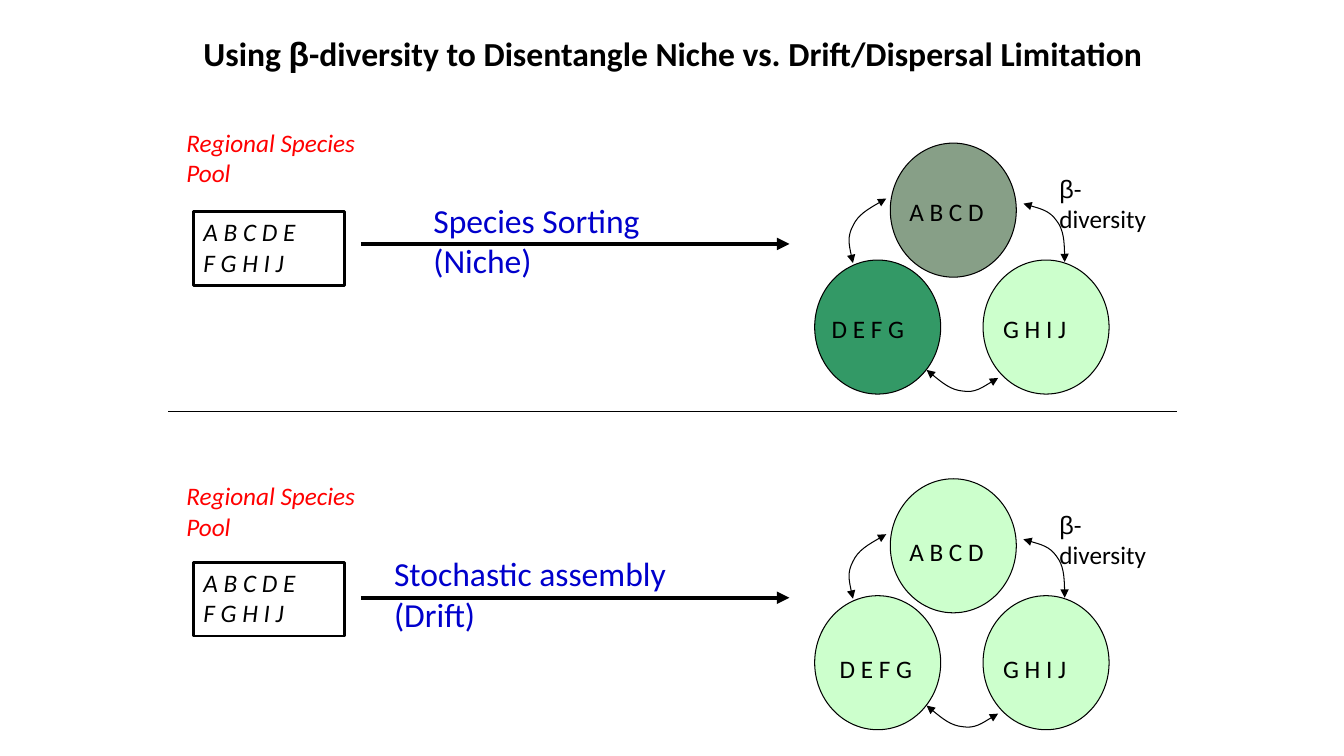
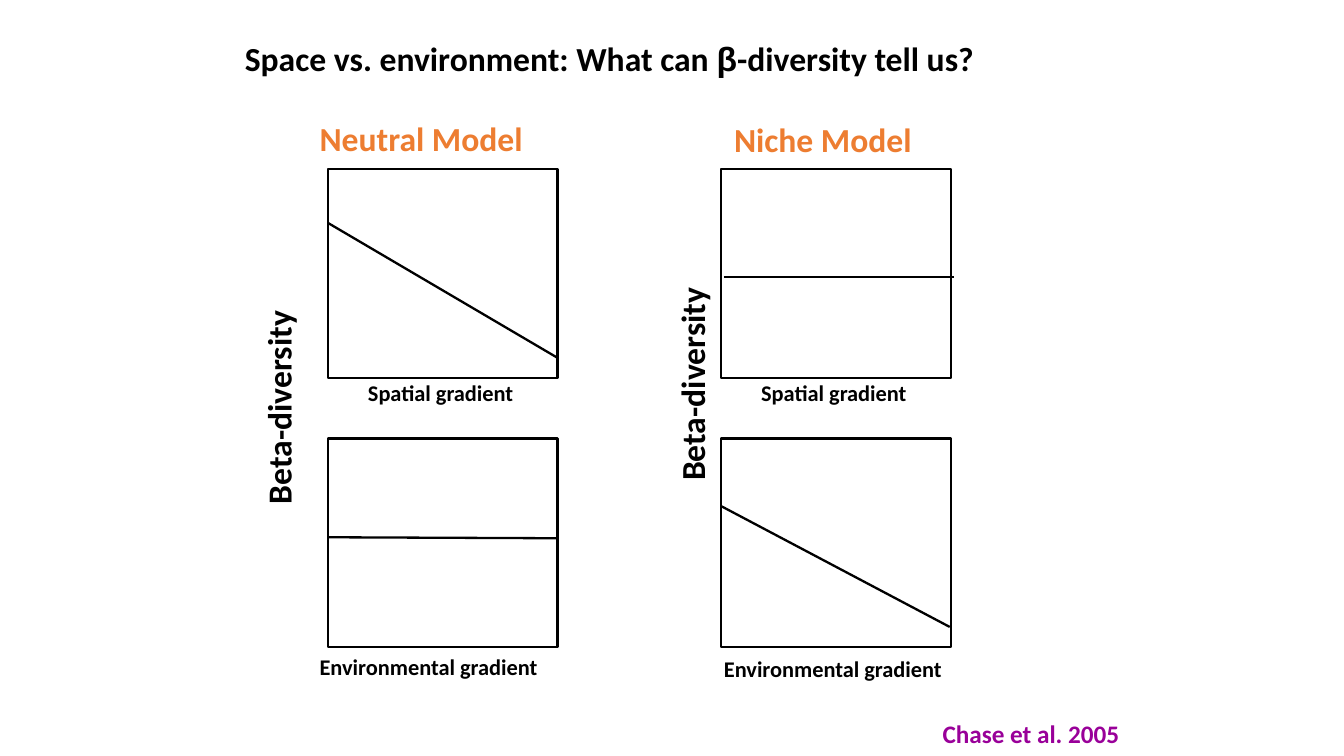
from dataclasses import dataclass

from lxml import etree
from pptx import Presentation
from pptx import util as u
from pptx.dml.color import RGBColor
from pptx.enum import shapes, text
from pptx.oxml.ns import qn


@dataclass(frozen=True)
class Theme:
    body_font: str = "Calibri"
    greek_font: str = "Arial"
    black: str = "000000"
    pool_red: str = "FF0000"
    process_blue: str = "0000CC"
    model_orange: str = "ED7D31"
    citation_purple: str = "990099"
    light_green: str = "CCFFCC"
    mid_green: str = "339966"
    dark_green: str = "003300"
    heading: int = 24
    body: int = 18
    axis: int = 16
    thin: float = 0.75
    frame: float = 1.63
    pool_frame: float = 2
    thick: float = 3


THEME = Theme()

# Three communities, relative to the cluster: left, top
CIRCLES = [(0.75, 0), (1.67, 1.16), (0, 1.16)]
# Curved arrows between communities: start, then control and end points
CURVES = [
    [(2.07, 0.6), (2.2, 0.64), (2.33, 0.67), (2.4, 0.77),
     (2.47, 0.86), (2.48, 1.02), (2.48, 1.18)],
    [(1.82, 2.33), (1.7, 2.4), (1.59, 2.48), (1.47, 2.46),
     (1.35, 2.45), (1.23, 2.35), (1.11, 2.25)],
    [(0.38, 1.19), (0.35, 1.06), (0.32, 0.93), (0.38, 0.82),
     (0.43, 0.71), (0.57, 0.63), (0.71, 0.55)],
]


# Shared drawing helpers
def rgb(color):
    return RGBColor.from_string(color)


def write(frame, lines, size, color=THEME.black, bold=False, italic=False):
    """Fill a text frame, setting each beta in the Greek font."""
    frame.word_wrap = False
    frame.vertical_anchor = text.MSO_ANCHOR.TOP
    for index, line in enumerate(lines):
        paragraph = frame.add_paragraph() if index else frame.paragraphs[0]
        paragraph.alignment = text.PP_ALIGN.LEFT
        for piece in filter(None, line.partition("β")):
            run = paragraph.add_run()
            run.text = piece
            font = run.font
            font.name = THEME.greek_font if piece == "β" else THEME.body_font
            font.size = u.Pt(size)
            font.bold, font.italic = bold, italic
            font.color.rgb = rgb(color)


def add_label(slide, box, lines, size, inset=True, rotation=0, **style):
    label = slide.shapes.add_textbox(*map(u.Inches, box))
    label.rotation = rotation
    frame = label.text_frame
    if not inset:
        frame.margin_left = frame.margin_right = 0
        frame.margin_top = frame.margin_bottom = 0
    write(frame, lines, size, **style)
    frame.auto_size = text.MSO_AUTO_SIZE.SHAPE_TO_FIT_TEXT


def add_title(slide, box, title):
    add_label(slide, box, [title], THEME.heading, bold=True)


def outline(shape, width, fill=None):
    shape.shadow.inherit = False
    shape.line.color.rgb = rgb(THEME.black)
    shape.line.width = u.Pt(width)
    if fill:
        shape.fill.solid()
        shape.fill.fore_color.rgb = rgb(fill)
    else:
        shape.fill.background()


def add_box(slide, kind, box, width, fill=None):
    shape = slide.shapes.add_shape(kind, *map(u.Inches, box))
    outline(shape, width, fill)
    return shape


def add_arrowheads(shape, *ends):
    line = shape.line._get_or_add_ln()
    for end in ends:
        etree.SubElement(line, qn(f"a:{end}"), type="triangle")


def add_line(slide, start, end, width):
    line = slide.shapes.add_connector(
        shapes.MSO_CONNECTOR.STRAIGHT, *map(u.Inches, (*start, *end)))
    line.line.color.rgb = rgb(THEME.black)
    line.line.width = u.Pt(width)
    etree.SubElement(line._element.spPr, qn("a:effectLst"))
    return line


def add_curve(slide, left, top, points):
    """Draw a double-headed arrow along cubic Bezier segments."""
    start, *rest = [(u.Inches(left + x), u.Inches(top + y)) for x, y in points]
    builder = slide.shapes.build_freeform(*start)
    builder.add_line_segments(rest, close=False)
    curve = builder.convert_to_shape()
    outline(curve, THEME.thin)
    add_arrowheads(curve, "headEnd", "tailEnd")
    path = next(curve._element.iter(qn("a:path")))
    segments = path.findall(qn("a:lnTo"))
    for first in range(0, len(segments), 3):
        bezier = etree.SubElement(path, qn("a:cubicBezTo"))
        for segment in segments[first:first + 3]:
            bezier.append(segment[0])
            path.remove(segment)


# Slide 1 regions
def draw_process(slide, left, top, box_top, process, process_left, process_width):
    """Species pool, arrow and the process named on it."""
    add_label(slide, (left, top, 1.95, 0.71), ["Regional Species", "Pool"],
              THEME.body, color=THEME.pool_red, italic=True)
    pool = add_box(slide, shapes.MSO_SHAPE.RECTANGLE,
                   (left + 0.17, top + box_top, 1.5, 0.73), THEME.pool_frame)
    write(pool.text_frame, ["A B C D E", "F G H I J"], THEME.body, italic=True)
    arrow = add_line(slide, (left + 1.83, top + 1.21), (left + 6.08, top + 1.21),
                     THEME.thick)
    add_arrowheads(arrow, "tailEnd")
    add_label(slide, (left + process_left, top + 0.72, process_width, 0.91),
              process, THEME.heading, color=THEME.process_blue)


def draw_communities(slide, left, top, fills, names, label_top):
    """Three local communities joined by beta-diversity arrows."""
    circles = [
        add_box(slide, shapes.MSO_SHAPE.OVAL, (left + x, top + y, 1.25, 1.33),
                THEME.thin, fill)
        for (x, y), fill in zip(CIRCLES, fills)]
    for points in CURVES:
        add_curve(slide, left, top, points)
    add_label(slide, (left + 2.33, top + 0.25, 1.07, 0.71),
              ["β-", "diversity"], THEME.body)
    for name, x, row, width in names:
        add_label(slide, (left + x, top + label_top + row * 1.16, width, 0.4),
                  [name], THEME.body)
    return circles


def build_disentangle_slide(slide):
    add_title(slide, (1.92, 0.28, 9.67, 0.5),
              "Using β-diversity to Disentangle Niche vs. Drift/Dispersal Limitation")
    add_line(slide, (1.67, 4.08), (11.67, 4.08), THEME.thin)

    # Niche
    draw_process(slide, 1.75, 1.21, 0.89, ["Species Sorting", "(Niche)"], 2.45, 2.27)
    shared_names = [("A B C D", 0.84, 0, 0.95), ("G H I J", 1.77, 1, 0.89)]
    shaded, *_ = draw_communities(
        slide, 8.08, 1.42, [THEME.dark_green, THEME.light_green, THEME.mid_green],
        shared_names + [("D E F G", 0.07, 1, 0.93)], 0.48)
    color = next(shaded._element.spPr.iter(qn("a:srgbClr")))
    etree.SubElement(color, qn("a:alpha"), val="47000")

    # Drift
    draw_process(slide, 1.75, 4.72, 0.86, ["Stochastic assembly", "(Drift)"], 2.06, 2.92)
    draw_communities(slide, 8.08, 4.75, [THEME.light_green] * 3,
                     shared_names + [("D E F G", 0.15, 1, 0.93)], 0.52)


# Slide 2 regions
def draw_model(slide, left, top, heading, heading_box, axis_box, plots):
    """One model: heading, shared vertical axis and two stacked plots."""
    def place(box):
        x, y, width, height = box
        return left + x, top + y, width, height

    add_label(slide, place(heading_box), [heading], THEME.heading, inset=False,
              bold=True, color=THEME.model_orange)
    for row, (gradient, caption_box, start, end) in enumerate(plots):
        add_box(slide, shapes.MSO_SHAPE.RECTANGLE,
                (left, top + row * 2.67, 2.28, 2.07), THEME.frame)
        add_line(slide, (left + start[0], top + start[1]),
                 (left + end[0], top + end[1]), THEME.frame)
        add_label(slide, place(caption_box), [gradient], THEME.axis,
                  inset=False, bold=True)
    add_label(slide, place(axis_box), ["Beta-diversity"], THEME.heading,
              inset=False, rotation=270, bold=True)


def build_gradient_slide(slide):
    add_title(slide, (2.33, 0.33, 7.48, 0.5),
              "Space vs. environment: What can β-diversity tell us?")
    spatial = ("Spatial gradient", (0.4, 2.08, 1.46, 0.27))
    environmental = "Environmental gradient"
    draw_model(
        slide, 3.25, 1.68, "Neutral Model",
        (-0.08, -0.51, 2.03, 0.4), (-1.46, 2.15, 1.94, 0.4),
        [(*spatial, (0, 0.53), (2.28, 1.87)),
         (environmental, (-0.08, 4.8, 2.19, 0.27), (0, 3.65), (2.28, 3.66))])
    draw_model(
        slide, 7.15, 1.68, "Niche Model",
        (0.13, -0.5, 1.78, 0.4), (-1.26, 1.92, 1.94, 0.4),
        [(*spatial, (0.03, 1.07), (2.31, 1.07)),
         (environmental, (0.03, 4.82, 2.19, 0.27), (0, 3.34), (2.27, 4.54))])
    add_label(slide, (9.25, 7.08, 1.97, 0.4), ["Chase et al. 2005"], THEME.body,
              bold=True, color=THEME.citation_purple)


def main():
    deck = Presentation()
    deck.slide_width, deck.slide_height = u.Inches(13.33), u.Inches(7.5)
    for build in (build_disentangle_slide, build_gradient_slide):
        build(deck.slides.add_slide(deck.slide_layouts[6]))
    deck.save("out.pptx")


if __name__ == "__main__":
    main()
